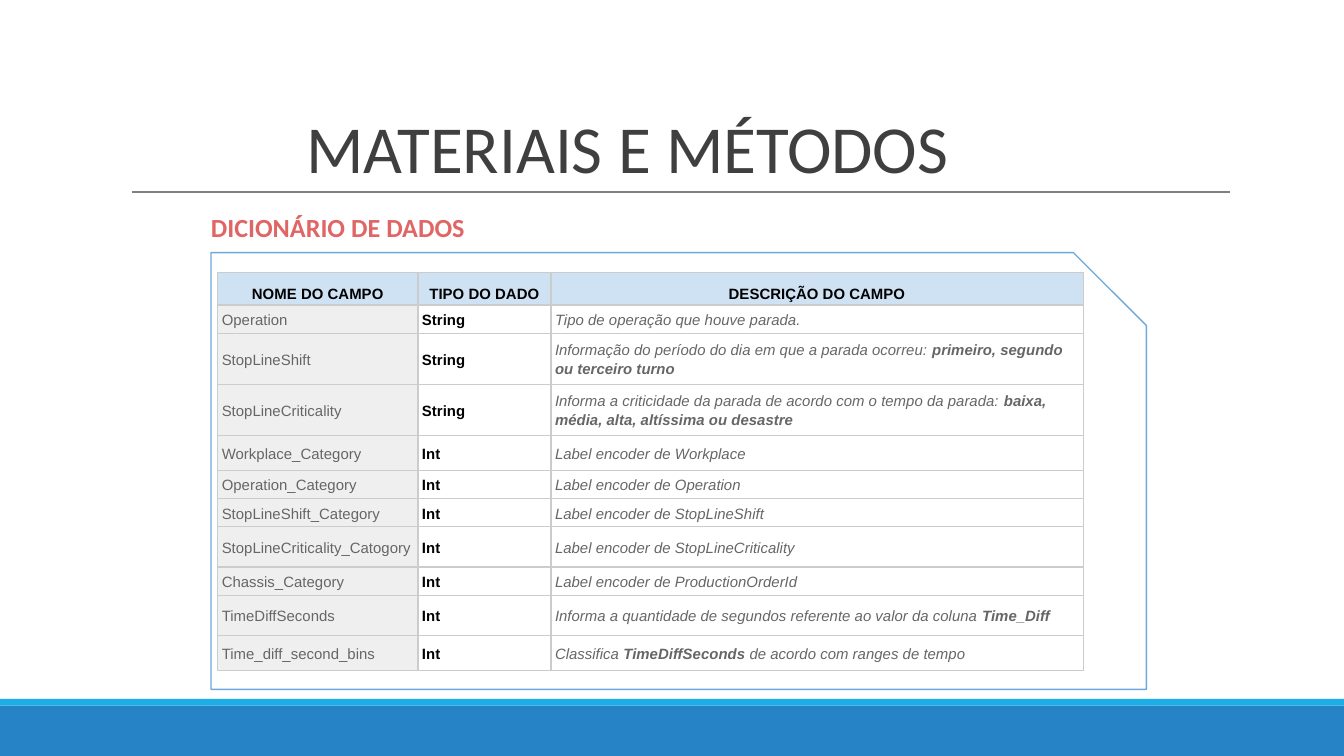
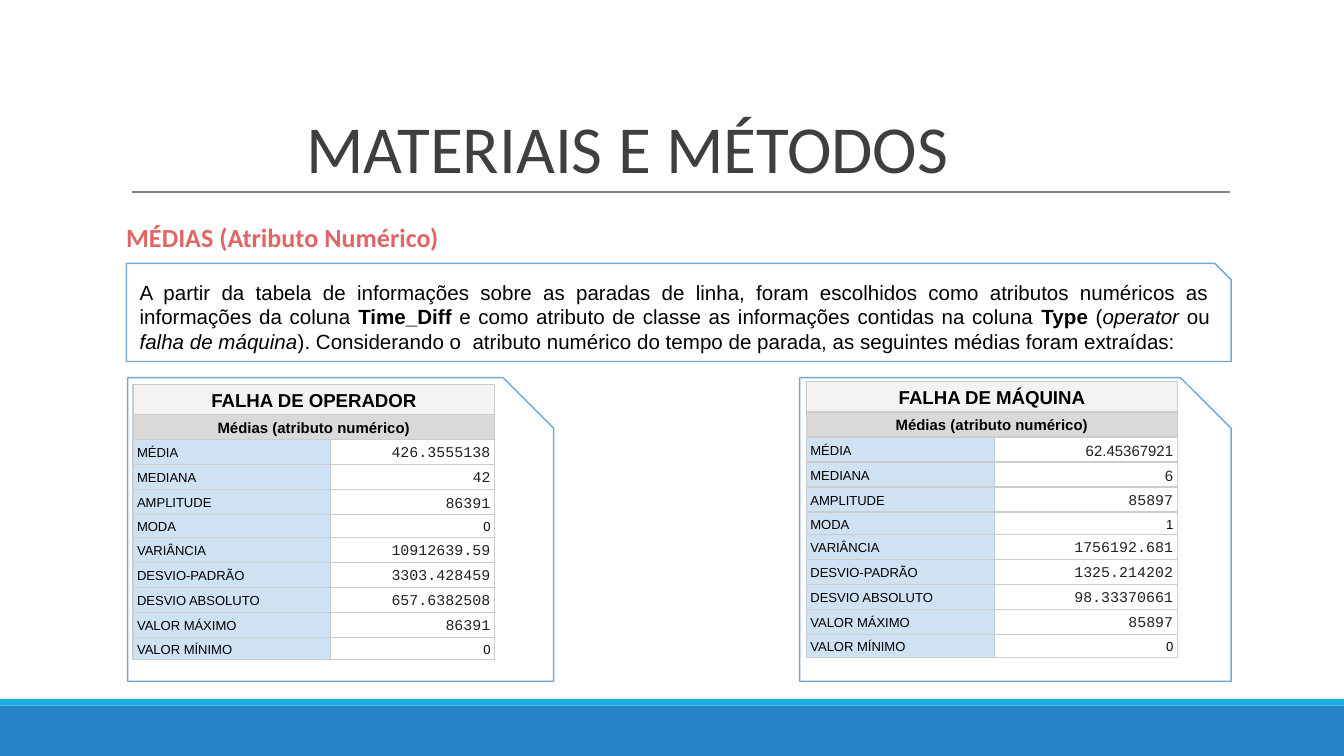
from dataclasses import dataclass

from lxml import etree
from pptx import Presentation
from pptx.dml.color import RGBColor
from pptx.enum import shapes, text
from pptx.oxml import ns
from pptx.util import Inches, Pt


@dataclass(frozen=True)
class Theme:
    sans: str = "Arial"
    head: str = "Calibri"
    mono: str = "Courier New"
    ink: str = "000000"
    title: str = "3F3F3F"
    accent: str = "E06666"
    gray: str = "666666"
    number: str = "212121"
    band: str = "2683C6"
    strip: str = "1CADE4"
    rule: str = "7F7F7F"
    frame: str = "6FA8DC"
    border: str = "CCCCCC"
    white: str = "FFFFFF"
    blue: str = "CFE2F3"
    pale: str = "EFEFEF"
    caption: str = "F3F3F3"
    subcaption: str = "D9D9D9"
    title_pt: int = 36
    subtitle_pt: int = 14
    body_pt: int = 11
    caption_pt: int = 10
    cell_pt: int = 8
    label_pt: int = 7
    line_pt: float = 0.75


T = Theme()
LEFT, CENTER, RIGHT, JUSTIFY = (
    text.PP_ALIGN.LEFT, text.PP_ALIGN.CENTER, text.PP_ALIGN.RIGHT, text.PP_ALIGN.JUSTIFY)
TOP, MIDDLE, BOTTOM = text.MSO_ANCHOR.TOP, text.MSO_ANCHOR.MIDDLE, text.MSO_ANCHOR.BOTTOM
BOLD, ITALIC = {"bold": True}, {"italic": True}

TITLE = dict(name=T.head, size=T.title_pt, color=T.title)
SUBTITLE = dict(name=T.head, size=T.subtitle_pt, color=T.accent, bold=True)
BODY = dict(name=T.sans, size=T.body_pt, color=T.ink)
HEADER = dict(name=T.sans, size=T.cell_pt, color=T.ink, bold=True)
CAPTION = {**HEADER, "size": T.caption_pt}
FIELD = dict(name=T.sans, size=T.cell_pt, color=T.gray)
LABEL = dict(name=T.sans, size=T.label_pt, color=T.ink)
NUMBER = dict(name=T.sans, size=T.cell_pt, color=T.number)
MONO = {**NUMBER, "name": T.mono}


def write(tf, runs, style, align=LEFT, spacing=1.0):
    """Fill the first paragraph; runs is a string or a list of (text, extra style)."""
    p = tf.paragraphs[0]
    p.alignment, p.line_spacing = align, spacing
    for words, extra in [(runs, {})] if isinstance(runs, str) else runs:
        r = p.add_run()
        r.text = words
        for key, value in {**style, **extra}.items():
            if key == "color":
                r.font.color.rgb = RGBColor.from_string(value)
            else:
                setattr(r.font, key, Pt(value) if key == "size" else value)


def add_grid(slide, left, top, widths, heights, rows):
    """Add a table; a cell is (runs, style, fill, align, anchor), and a lone cell spans its row."""
    table = slide.shapes.add_table(
        len(rows), len(widths), Inches(left), Inches(top),
        Inches(sum(widths)), Inches(sum(heights))).table
    table.first_row = table.horz_banding = False
    for column, width in zip(table.columns, widths):
        column.width = Inches(width)
    for i, (row, height) in enumerate(zip(rows, heights)):
        table.rows[i].height = Inches(height)
        for j in range(len(widths)):
            cell = table.cell(i, j)
            cell.margin_left = cell.margin_right = Inches(0.03)
            cell.margin_top = cell.margin_bottom = Pt(1.2)
            tc_pr = cell._tc.get_or_add_tcPr()
            for side in ("lnL", "lnR", "lnT", "lnB"):
                ln = etree.SubElement(tc_pr, ns.qn(f"a:{side}"), w=str(Pt(T.line_pt)))
                fill = etree.SubElement(ln, ns.qn("a:solidFill"))
                etree.SubElement(fill, ns.qn("a:srgbClr"), val=T.border)
            cell.fill.background()
        if len(row) == 1:
            table.cell(i, 0).merge(table.cell(i, len(widths) - 1))
        for j, (runs, style, color, align, anchor) in enumerate(row):
            cell = table.cell(i, j)
            cell.vertical_anchor = anchor
            if color:
                cell.fill.solid()
                cell.fill.fore_color.rgb = RGBColor.from_string(color)
            write(cell.text_frame, runs, style, align, 1.15)


prs = Presentation()
prs.slide_width = Inches(10)
prs.slide_height = prs.slide_width * 9 // 16

# Shared frame of each slide: subtitle box, then the cut-corner outlines
pages = [
    ("DICIONÁRIO DE DADOS", (1.47, 1.47, 2.98, 0.41), [(1.57, 1.88, 6.96, 3.25)]),
    ("MÉDIAS (Atributo Numérico)", (0.84, 1.55, 2.59, 0.41),
     [(5.95, 2.81, 3.21, 2.26), (0.95, 2.81, 3.17, 2.26), (0.94, 1.96, 8.22, 0.73)]),
]
for subtitle, subtitle_box, outlines in pages:
    s = prs.slides.add_slide(prs.slide_layouts[5])

    for top, height, color in ((5.25, 0.38, T.band), (5.2, 0.05, T.strip)):
        sp = s.shapes.add_shape(shapes.MSO_SHAPE.RECTANGLE, 0, Inches(top),
                                prs.slide_width, Inches(height))
        sp.shadow.inherit = False
        sp.fill.solid()
        sp.fill.fore_color.rgb = RGBColor.from_string(color)
        sp.line.fill.background()

    rule = s.shapes.add_connector(shapes.MSO_CONNECTOR.STRAIGHT, Inches(0.98), Inches(1.43),
                                  Inches(9.15), Inches(1.43))
    rule.line.color.rgb = RGBColor.from_string(T.rule)
    rule.line.width = Pt(T.line_pt)
    etree.SubElement(rule.element.spPr, ns.qn("a:effectLst"))

    title = s.shapes.title
    title.left, title.top, title.width, title.height = map(Inches, (2.21, 0.24, 5.15, 1.19))
    tf = title.text_frame
    tf.auto_size, tf.vertical_anchor, tf.word_wrap = text.MSO_AUTO_SIZE.NONE, BOTTOM, True
    tf.margin_left = tf.margin_right = Inches(0.07)
    tf.margin_top = tf.margin_bottom = Inches(0.04)
    write(tf, "MATERIAIS E MÉTODOS", TITLE, spacing=0.85)

    for box in outlines:
        outline = s.shapes.add_shape(shapes.MSO_SHAPE.SNIP_1_RECTANGLE, *map(Inches, box))
        outline.adjustments[0] = 0.167
        outline.shadow.inherit = False
        outline.fill.background()
        outline.line.color.rgb = RGBColor.from_string(T.frame)
        outline.line.width = Pt(T.line_pt)

    label = s.shapes.add_textbox(*map(Inches, subtitle_box))
    write(label.text_frame, subtitle, SUBTITLE)
    for tf, anchor in ((label.text_frame, TOP), (outline.text_frame, MIDDLE)):
        tf.word_wrap, tf.vertical_anchor = True, anchor
        tf.margin_left = tf.margin_right = tf.margin_top = tf.margin_bottom = Inches(0.1)

# Slide 1: data dictionary
fields = [
    ("Operation", "String", "Tipo de operação que houve parada.", 0.21),
    ("StopLineShift", "String",
     [("Informação do período do dia em que a parada ocorreu: ", {}),
      ("primeiro, segundo ou terceiro turno", BOLD)], 0.38),
    ("StopLineCriticality", "String",
     [("Informa a criticidade da parada de acordo com o tempo da parada: ", {}),
      ("baixa, média, alta, altíssima ou desastre", BOLD)], 0.38),
    ("Workplace_Category", "Int", "Label encoder de Workplace", 0.26),
    ("Operation_Category", "Int", "Label encoder de Operation", 0.21),
    ("StopLineShift_Category", "Int", "Label encoder de StopLineShift", 0.21),
    ("StopLineCriticality_Catogory", "Int", "Label encoder de StopLineCriticality", 0.3),
    ("Chassis_Category", "Int", "Label encoder de ProductionOrderId", 0.21),
    ("TimeDiffSeconds", "Int",
     [("Informa a quantidade de segundos referente ao valor da coluna ", {}),
      ("Time_Diff", BOLD)], 0.3),
    ("Time_diff_second_bins", "Int",
     [("Classifica ", {}), ("TimeDiffSeconds", BOLD),
      (" de acordo com ranges de tempo", {})], 0.26),
]
rows = [[(name, HEADER, T.blue, CENTER, BOTTOM)
         for name in ("NOME DO CAMPO", "TIPO DO DADO", "DESCRIÇÃO DO CAMPO")]]
for name, kind, description, _ in fields:
    rows.append([(name, FIELD, T.pale, LEFT, MIDDLE),
                 (kind, HEADER, None, LEFT, MIDDLE),
                 (description, {**FIELD, **ITALIC}, None, LEFT, MIDDLE)])
add_grid(prs.slides[0], 1.62, 2.03, (1.49, 0.99, 3.96),
         [0.24] + [field[-1] for field in fields], rows)

# Slide 2: introduction (the last outline) and the two tables of averages
write(outline.text_frame, [
    ("A partir da tabela de informações sobre as paradas de linha, foram escolhidos como "
     "atributos numéricos as informações da coluna ", {}),
    ("Time_Diff", BOLD),
    (" e como atributo de classe as informações contidas na coluna ", {}),
    ("Type", BOLD),
    (" (", {}),
    ("operator ", ITALIC),
    ("ou ", {}),
    ("falha de máquina", ITALIC),
    ("). Considerando o  atributo numérico do tempo de parada, as seguintes médias "
     "foram extraídas:", {}),
], BODY, JUSTIFY)

measures = ("MÉDIA", "MEDIANA", "AMPLITUDE", "MODA", "VARIÂNCIA", "DESVIO-PADRÃO",
            "DESVIO ABSOLUTO", "VALOR MÁXIMO", "VALOR MÍNIMO")
failures = [
    ("FALHA DE OPERADOR", 0.99, 2.86, (1.47, 1.22),
     (0.2, 0.18, 0.18, 0.18, 0.18, 0.16, 0.18, 0.18, 0.18, 0.18, 0.16), (),
     ("426.3555138", "42", "86391", "0", "10912639.59", "3303.428459",
      "657.6382508", "86391", "0")),
    ("FALHA DE MÁQUINA", 6, 2.84, (1.4, 1.36),
     (0.15, 0.14, 0.14, 0.14, 0.15, 0.14, 0.15, 0.15, 0.15, 0.15, 0.14), ("MÉDIA", "MEDIANA"),
     ("62.45367921", "6", "85897", "1", "1756192.681", "1325.214202",
      "98.33370661", "85897", "0")),
]
for caption, left, top, widths, heights, sans_measures, values in failures:
    rows = [[(caption, CAPTION, T.caption, CENTER, MIDDLE)],
            [("Médias (atributo numérico)", HEADER, T.subcaption, CENTER, MIDDLE)]]
    for measure, value in zip(measures, values):
        if measure in ("MODA", "VALOR MÍNIMO"):
            number = (value, LABEL, None, RIGHT, MIDDLE)
        else:
            style = NUMBER if measure in sans_measures else MONO
            number = (value, style, T.white, RIGHT, BOTTOM)
        rows.append([(measure, LABEL, T.blue, LEFT, MIDDLE), number])
    add_grid(prs.slides[1], left, top, widths, heights, rows)

prs.save("out.pptx")
